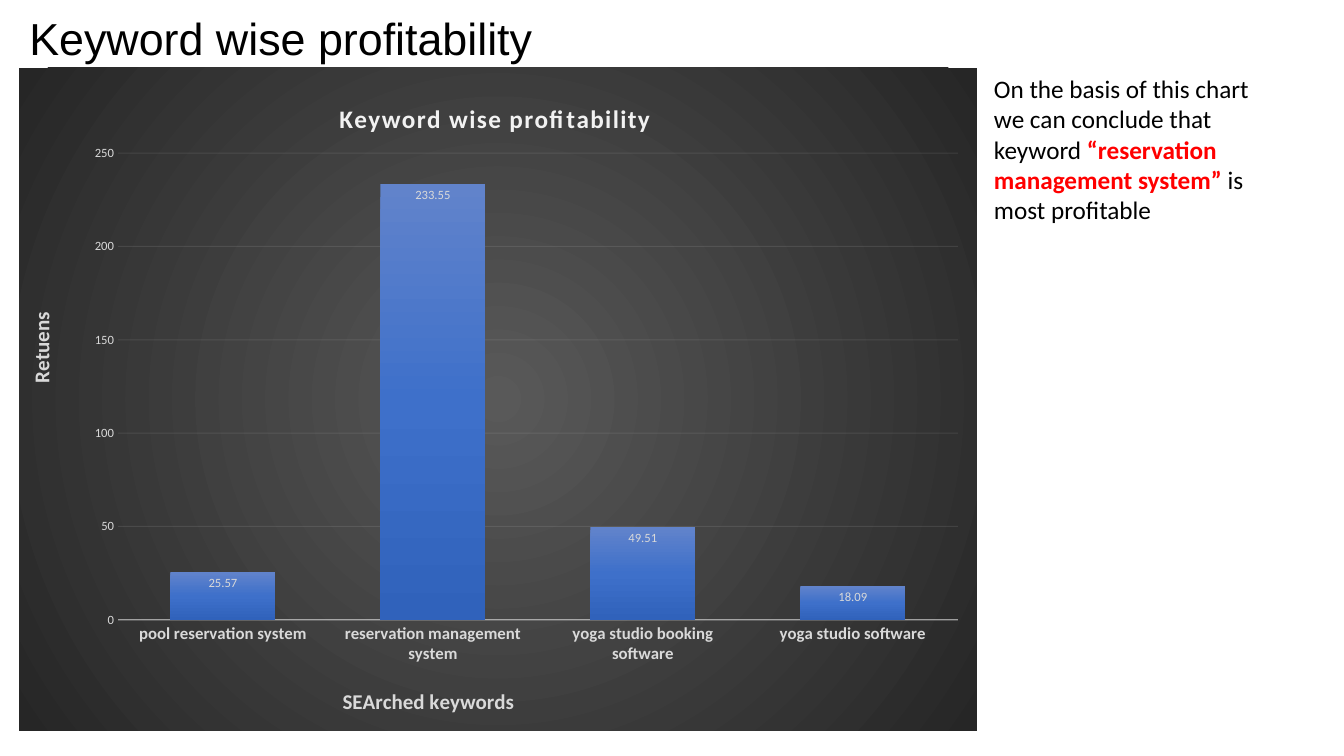
"""Build the keyword profitability slide with its column chart."""
import lxml.etree
import pptx
import pptx.chart.data
import pptx.dml.color
import pptx.enum.chart
import pptx.enum.text
import pptx.oxml
import pptx.oxml.ns
import pptx.util

HUES = {
    "text": "000000", "key": "FF0000", "pale": "D9D9D9", "light": "F2F2F2",
    "mid": "595959", "edge": "262626",
    "top": "6183CB", "blue": "3E70CA", "base": "3062BB",
}
WIDE, HIGH = 9.5, 6.58
RETURNS = {
    "pool reservation system": 25.57,
    "reservation management system": 233.55,
    "yoga studio booking software": 49.51,
    "yoga studio software": 18.09,
}


def color(name):
    return pptx.dml.color.RGBColor.from_string(HUES[name])


def style(font, size, hue, bold=False, face="Calibri"):
    font.name, font.size, font.bold = face, pptx.util.Pt(size), bold
    font.color.rgb = color(hue)


def place(shape, left, top, width, height):
    shape.left, shape.top, shape.width, shape.height = map(
        pptx.util.Inches, (left, top, width, height))


def blend(names, shade):
    step = 100000 // (len(names) - 1)
    stops = "".join(
        f'<a:gs pos="{i * step}"><a:srgbClr val="{HUES[name]}"/></a:gs>'
        for i, name in enumerate(names))
    return pptx.oxml.parse_xml(
        f'<a:gradFill {pptx.oxml.ns.nsdecls("a")}>'
        f"<a:gsLst>{stops}</a:gsLst>{shade}</a:gradFill>")


def pin(node, index, **spots):
    """Fix a chart part at a place given in inches within the chart."""
    for old in node.xpath("./c:layout"):
        node.remove(old)
    inner = '<c:layoutTarget val="inner"/>' if "w" in spots else ""
    modes = '<c:xMode val="edge"/><c:yMode val="edge"/>'
    sizes = "".join(
        f'<c:{k} val="{v / (WIDE if k in "xw" else HIGH):.4f}"/>'
        for k, v in spots.items())
    node.insert(index, pptx.oxml.parse_xml(
        f'<c:layout {pptx.oxml.ns.nsdecls("c")}><c:manualLayout>'
        f"{inner}{modes}{sizes}</c:manualLayout></c:layout>"))


def label(title, text, size, hue, x, y):
    para = title.text_frame.paragraphs[0]
    para.text = text
    style(para.font, size, hue, True)
    pin(title._element, 1, x=x, y=y)
    return para


def stroke(line, axis, part, width, alpha):
    line.color.rgb = color("light")
    line.width = pptx.util.Pt(width)
    for tint in axis._element.xpath(f"{part}//a:srgbClr"):
        node = lxml.etree.SubElement(tint, pptx.oxml.ns.qn("a:alpha"))
        node.set("val", str(alpha * 1000))


def add_title(slide, text):
    title = slide.shapes.title
    place(title, 0.19, -0.32, 11.5, 1.45)
    frame = title.text_frame
    frame.vertical_anchor = pptx.enum.text.MSO_ANCHOR.MIDDLE
    para = frame.paragraphs[0]
    para.text = text
    para.alignment = pptx.enum.text.PP_ALIGN.LEFT
    para.line_spacing = 0.9
    style(para.font, 32, "text", face="Arial")


def add_note(slide, parts):
    box = slide.shapes.add_textbox(0, 0, 0, 0)
    place(box, 9.76, 0.68, 2.92, 1.62)
    box.text_frame.word_wrap = True
    para = box.text_frame.paragraphs[0]
    for text, hue, bold in parts:
        run = para.add_run()
        run.text = text
        style(run.font, 18, hue, bold)


def style_axes(chart):
    keys, scale = chart.category_axis, chart.value_axis
    for axis, size, bold in ((keys, 12, True), (scale, 9, False)):
        axis.major_tick_mark = pptx.enum.chart.XL_TICK_MARK.NONE
        axis.minor_tick_mark = pptx.enum.chart.XL_TICK_MARK.NONE
        style(axis.tick_labels.font, size, "pale", bold)
    stroke(keys.format.line, keys, "./c:spPr", 1, 54)
    scale.minimum_scale, scale.maximum_scale, scale.major_unit = 0, 250, 50
    scale.format.line.fill.background()
    scale.has_major_gridlines = True
    stroke(scale.major_gridlines.format.line, scale,
           "./c:majorGridlines", 0.75, 10)
    label(keys.axis_title, "SEArched keywords", 15, "pale", 3.17, 6.11)
    label(scale.axis_title, "Retuens", 15, "pale", 0.04, 2.39)
    body = scale.axis_title.text_frame._txBody.bodyPr
    body.set("rot", "-5400000")
    body.set("vert", "horz")


def style_bars(plot):
    plot.gap_width, plot.overlap = 100, -24
    plot.vary_by_categories = False
    bars = plot.series[0]
    bars._element.get_or_add_spPr().append(
        blend(("top", "blue", "base"), '<a:lin ang="5400000" scaled="0"/>'))
    tags = bars.data_labels
    tags.show_value = True
    tags.position = pptx.enum.chart.XL_LABEL_POSITION.INSIDE_END
    style(tags.font, 9, "pale")


def add_chart(slide):
    data = pptx.chart.data.CategoryChartData()
    data.categories = RETURNS.keys()
    data.add_series("Series 1", RETURNS.values())
    kind = pptx.enum.chart.XL_CHART_TYPE.COLUMN_CLUSTERED
    frame = slide.shapes.add_chart(kind, 0, 0, 0, 0, data)
    place(frame, 0.19, 0.67, WIDE, HIGH)
    chart = frame.chart
    style(chart.font, 10, "text")
    chart.has_legend = False
    para = label(chart.chart_title, "Keyword wise profitability",
                 18, "light", 3.13, 0.29)
    para.font._element.set("spc", "100")
    style_axes(chart)
    style_bars(chart.plots[0])
    root = chart._chartSpace
    pin(root.xpath("./c:chart/c:plotArea")[0], 0,
        x=0.98, y=0.85, w=8.33, h=4.63)
    back = pptx.oxml.parse_xml(
        f'<c:spPr {pptx.oxml.ns.nsdecls("c", "a")}>'
        "<a:ln><a:noFill/></a:ln></c:spPr>")
    back.insert(0, blend(
        ("mid", "edge"), '<a:path path="circle"><a:fillToRect l="50000" '
        't="50000" r="50000" b="50000"/></a:path>'))
    root.xpath("./c:chart")[0].addnext(back)


def main():
    deck = pptx.Presentation()
    deck.slide_width = pptx.util.Inches(13.33)
    deck.slide_height = pptx.util.Inches(7.5)
    slide = deck.slides.add_slide(deck.slide_layouts[5])
    add_title(slide, "Keyword wise profitability")
    add_chart(slide)
    add_note(slide, (
        ("On the basis of this chart we can conclude that keyword ",
         "text", False),
        ("“reservation management system” ", "key", True),
        ("is most profitable", "text", False),
    ))
    deck.save("out.pptx")


main()
